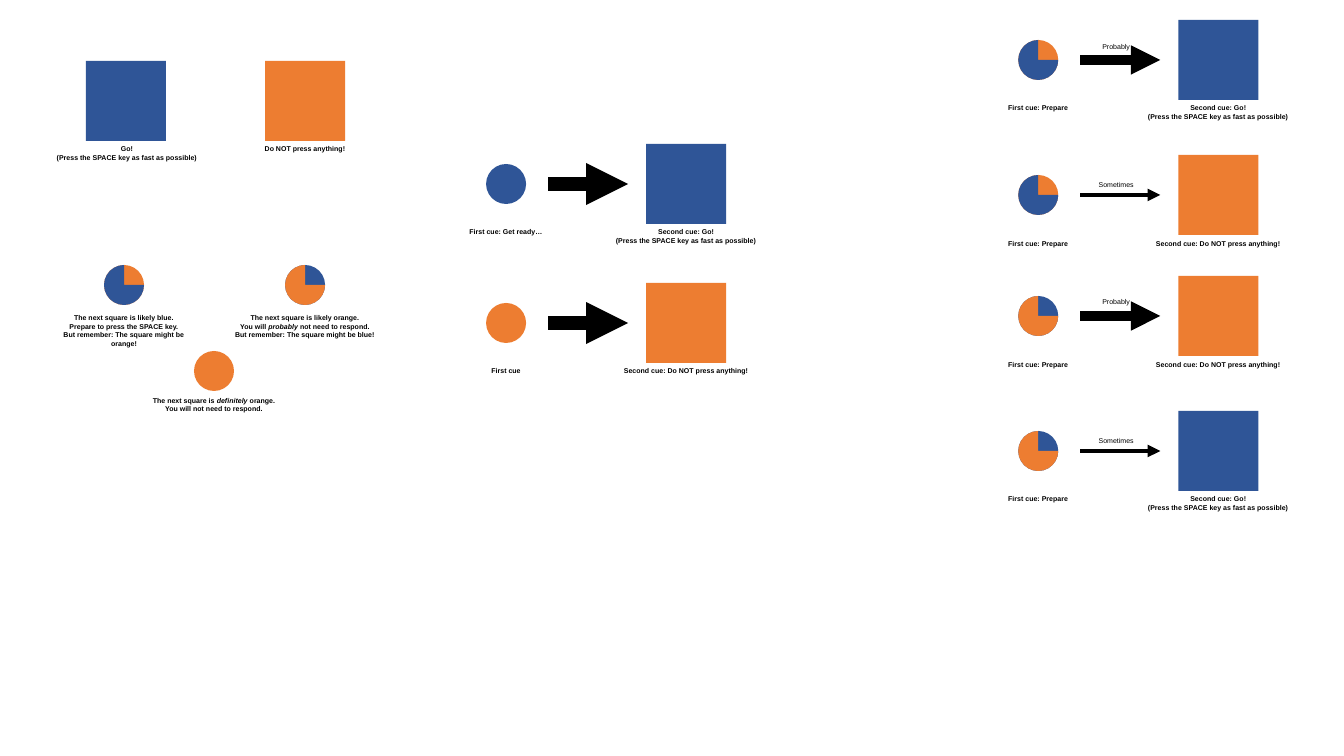
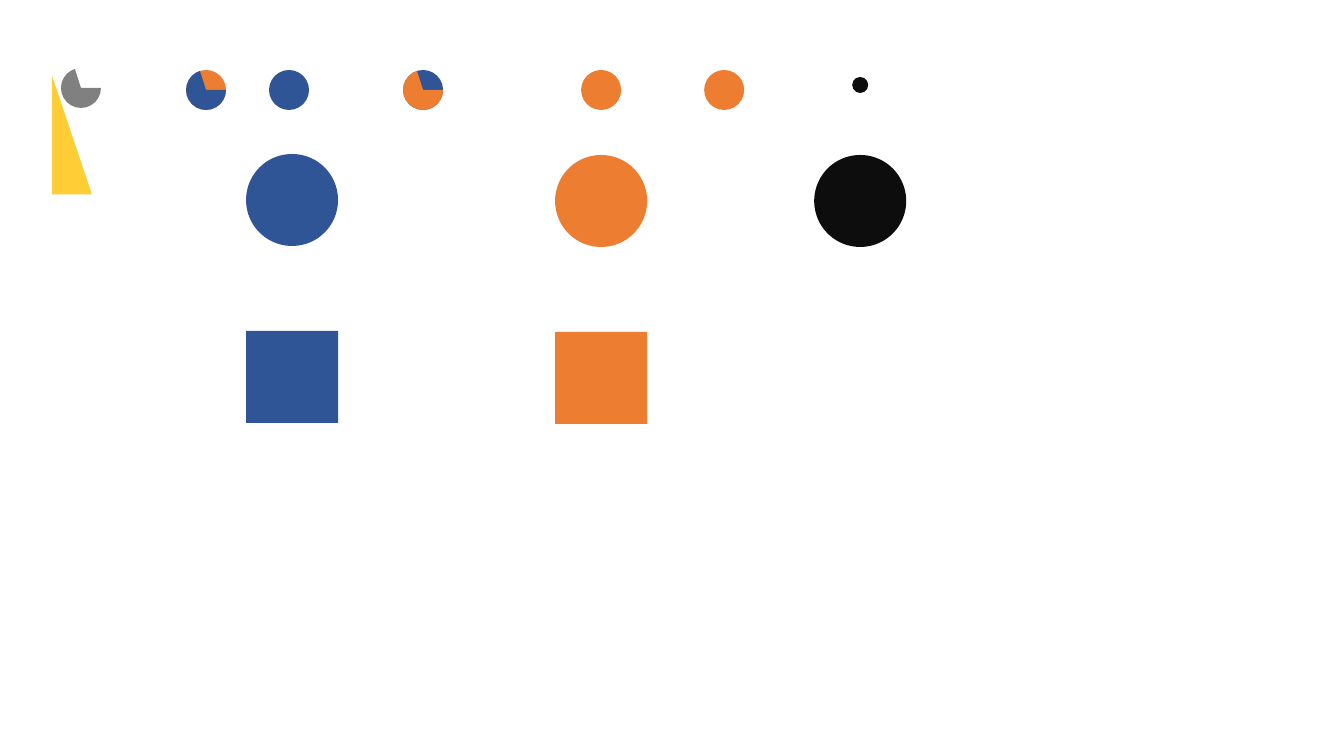
from pptx import Presentation, util as u
from pptx.dml.color import RGBColor
from pptx.enum import shapes, text
from pptx.oxml.ns import qn
from lxml import etree

BLUE, ORANGE, BLACK = "2F5597", "ED7D31", "000000"
INK, GREY, YELLOW = "0D0D0D", "808080", "FFC000"
FONT, TEXT_SIZE = "Arial", 5
SCALE = 914400 / 100.8
SQUARE, CUE = 80, 40
QUARTER_END, WIDE_END = 162, 151.296

GO = ["Go!", "(Press the SPACE key as fast as possible)"]
STOP = ["Do NOT press anything!"]
SECOND = {
    BLUE: ["Second cue: Go!", GO[1]],
    ORANGE: ["Second cue: Do NOT press anything!"],
}
TARGETS = [
    (126, 101, BLUE, 127, 144, GO),
    (305, 101, ORANGE, 305, 88, STOP),
]
CUES = [
    (124, 285, ORANGE, BLUE, 310, 148,
     ["The next square is likely blue.", "Prepare to press the SPACE key.",
      "But remember: The square might be orange!"]),
    (305, 285, BLUE, ORANGE, 310, 146,
     ["The next square is likely orange.", "You will _probably_ not need to respond.",
      "But remember: The square might be blue!"]),
    (214, 371, ORANGE, None, 392, 131,
     ["The next square is _definitely_ orange.", "You will not need to respond."]),
]
TRIALS = [
    (464, 184, BLUE, None, "First cue: Get ready…", BLUE, 10, None),
    (464, 323, ORANGE, None, "First cue", ORANGE, 10, None),
    (996, 60, ORANGE, BLUE, "First cue: Prepare", BLUE, 7, "Probably"),
    (996, 195, ORANGE, BLUE, "First cue: Prepare", ORANGE, 3, "Sometimes"),
    (996, 316, BLUE, ORANGE, "First cue: Prepare", ORANGE, 7, "Probably"),
    (996, 451, BLUE, ORANGE, "First cue: Prepare", BLUE, 3, "Sometimes"),
]
WORD_RISE = {"Probably": 22, "Sometimes": 18}

DISCS = [
    (292, 200, 92, BLUE), (601, 201, 92, ORANGE), (860, 201, 92, INK),
    (289, 90, CUE, BLUE), (601, 90, CUE, ORANGE), (724, 90, CUE, ORANGE),
    (860, 85, 16, INK),
]
WIDE_CUES = [(206, 90, ORANGE, BLUE), (423, 90, BLUE, ORANGE)]
SQUARES = [(292, 377, BLUE), (601, 378, ORANGE)]


def px(n):
    return u.Emu(round(n * SCALE))


def rgb(color):
    return RGBColor.from_string(color)


def shape(parent, kind, cx, cy, w, h, color):
    sp = parent.add_shape(kind, px(cx - w / 2), px(cy - h / 2), px(w), px(h))
    sp.shadow.inherit = False
    sp.fill.solid()
    sp.fill.fore_color.rgb = rgb(color)
    sp.line.fill.background()
    return sp


def square(parent, cx, cy, size, color):
    return shape(parent, shapes.MSO_SHAPE.RECTANGLE, cx, cy, size, size, color)


def disc(parent, cx, cy, size, color):
    return shape(parent, shapes.MSO_SHAPE.OVAL, cx, cy, size, size, color)


def pie(parent, cx, cy, color, end):
    sp = shape(parent, shapes.MSO_SHAPE.PIE, cx, cy, CUE, CUE, color)
    sp.adjustments[0] = 0
    sp.adjustments[1] = end


def cue(parent, cx, cy, base, main, end=QUARTER_END):
    disc(parent, cx, cy, CUE, base)
    if main:
        pie(parent, cx, cy, main, end)


def label(parent, cx, top, w, lines, bold=True):
    height = 8 + 8 * len(lines)
    tf = parent.add_textbox(px(cx - w / 2), px(top), px(w), px(height)).text_frame
    tf.word_wrap = True
    tf.auto_size = text.MSO_AUTO_SIZE.SHAPE_TO_FIT_TEXT
    tf.margin_left = tf.margin_right = 0
    tf.margin_top = tf.margin_bottom = px(4)
    for i, line in enumerate(lines):
        p = tf.paragraphs[0] if i == 0 else tf.add_paragraph()
        p.alignment = text.PP_ALIGN.CENTER
        for j, part in enumerate(line.split("_")):
            r = p.add_run()
            r.text = part
            r.font.name, r.font.size = FONT, u.Pt(TEXT_SIZE)
            r.font.bold, r.font.italic = bold, j % 2 == 1
            r.font.color.rgb = rgb(BLACK)


def arrow(parent, x, y, length, weight):
    line = parent.add_connector(shapes.MSO_CONNECTOR.STRAIGHT,
                                px(x), px(y), px(x + length), px(y))
    line.line.color.rgb = rgb(BLACK)
    line.line.width = u.Pt(weight)
    ln = line.line._get_or_add_ln()
    etree.SubElement(ln, qn("a:tailEnd"), type="triangle")
    etree.SubElement(line._element.spPr, qn("a:effectLst"))


def trial(parent, x, y, base, main, first, target, weight, word):
    cue(parent, x + 42, y, base, main)
    arrow(parent, x + 84, y, SQUARE, weight)
    square(parent, x + 222, y, SQUARE, target)
    label(parent, x + 42, y + 40, 80, [first])
    label(parent, x + 222, y + 40, 144, SECOND[target])
    if word:
        label(parent, x + 120, y - WORD_RISE[word], 80, [word], bold=False)


prs = Presentation()
prs.slide_width, prs.slide_height = u.Inches(13.33), u.Inches(7.5)
blank = prs.slide_layouts[6]

s = prs.slides.add_slide(blank)
for cx, cy, color, label_cx, w, lines in TARGETS:
    square(s.shapes, cx, cy, SQUARE, color)
    label(s.shapes, label_cx, cy + 40, w, lines)
for row in TRIALS:
    trial(s.shapes.add_group_shape().shapes, *row)
cue_group = s.shapes.add_group_shape().shapes
for cx, cy, base, main, top, w, lines in CUES:
    cue(cue_group, cx, cy, base, main)
    label(cue_group, cx, top, w, lines)

s = prs.slides.add_slide(blank)
for row in DISCS:
    disc(s.shapes, *row)
triangle = shape(s.shapes, shapes.MSO_SHAPE.RIGHT_TRIANGLE, 72, 135, 40, 119, YELLOW)
fill_color = triangle._element.spPr.find(qn("a:solidFill"))[0]
etree.SubElement(fill_color, qn("a:alpha"), val="79000")
for row in WIDE_CUES:
    cue(s.shapes.add_group_shape().shapes, *row, end=WIDE_END)
pie(s.shapes, 81, 88, GREY, WIDE_END)
for cx, cy, color in SQUARES:
    square(s.shapes, cx, cy, 92, color)

prs.save("out.pptx")
